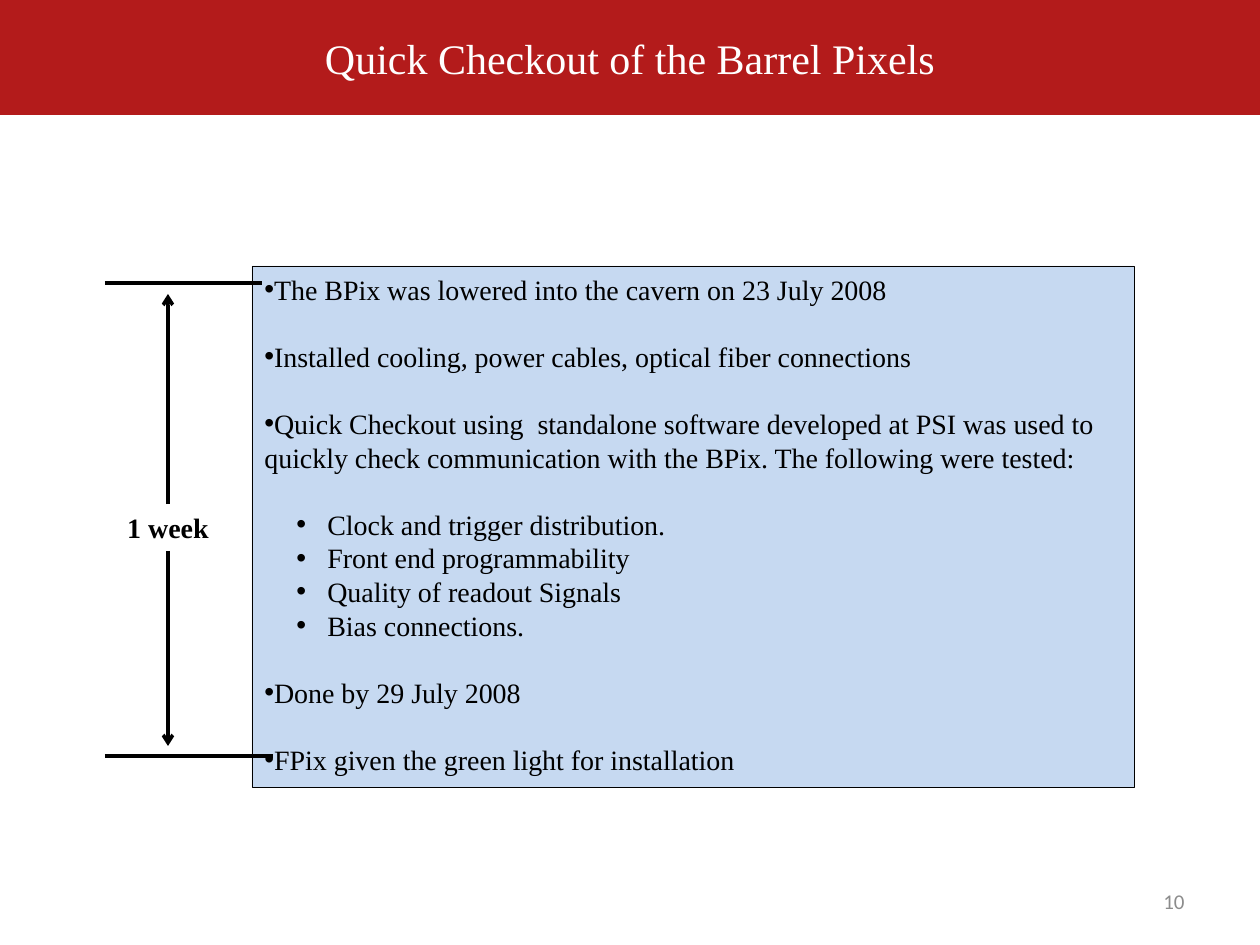
"""Build the slide on the quick checkout of the barrel pixels."""
import dataclasses
import typing

import lxml.etree
import pptx
import pptx.dml.color
import pptx.enum.shapes
import pptx.enum.text
import pptx.oxml.ns
import pptx.util

SCALE = 914400 / 126
HUES = {"red": "B31B1B", "sky": "C6D9F1", "ink": "000000",
        "white": "FFFFFF", "gray": "8C8C8C"}
SERIF = "Times New Roman"
LEAD = pptx.util.Pt(19.2)
ALIGN = pptx.enum.text.PP_ALIGN
ANCHOR = pptx.enum.text.MSO_ANCHOR


@dataclasses.dataclass
class Box:
    left: int
    top: int
    width: int
    height: int


@dataclasses.dataclass
class Style:
    size: int
    hue: str = "ink"
    face: str = SERIF
    bold: bool = False
    align: typing.Any = ALIGN.LEFT


@dataclasses.dataclass
class Item:
    text: str
    gap: bool = True
    sub: bool = False


@dataclasses.dataclass
class Rule:
    start: tuple[int, int]
    end: tuple[int, int]
    site: int | None = None


ITEMS = [
    Item("The BPix was lowered into the cavern on 23 July 2008", gap=False),
    Item("Installed cooling, power cables, optical fiber connections"),
    Item("Quick Checkout using  standalone software developed at PSI was used to "
         "quickly check communication with the BPix. The following were tested:"),
    Item("Clock and trigger distribution.", sub=True),
    Item("Front end programmability", gap=False, sub=True),
    Item("Quality of readout Signals", gap=False, sub=True),
    Item("Bias connections.", gap=False, sub=True),
    Item("Done by 29 July 2008"),
    Item("FPix given the green light for installation"),
]
RULES = [
    Rule((168, 551), (168, 746), site=2),
    Rule((168, 504), (168, 294), site=0),
    Rule((105, 283), (262, 283)),
    Rule((105, 756), (273, 756)),
]


def px(count: int) -> int:
    """Turn pixels into EMU."""
    return round(count * SCALE)


def tint(name: str) -> pptx.dml.color.RGBColor:
    """Look up a named colour."""
    return pptx.dml.color.RGBColor.from_string(HUES[name])


def place(box: Box) -> list[int]:
    """Give a box's place and size in EMU."""
    return [px(side) for side in dataclasses.astuple(box)]


def dress(para: typing.Any, style: Style) -> None:
    """Set a paragraph's font and alignment."""
    para.alignment = style.align
    font = para.font
    font.size = pptx.util.Pt(style.size)
    font.name = style.face
    font.bold = style.bold
    font.color.rgb = tint(style.hue)


def panel(slide: typing.Any, box: Box, fill: str, edge: str | None = None) -> typing.Any:
    """Draw a filled rectangle."""
    kind = pptx.enum.shapes.MSO_SHAPE.RECTANGLE
    shape = slide.shapes.add_shape(kind, *place(box))
    shape.shadow.inherit = False
    shape.fill.solid()
    shape.fill.fore_color.rgb = tint(fill)
    if edge:
        shape.line.color.rgb = tint(edge)
        shape.line.width = pptx.util.Pt(0.25)
    else:
        shape.line.fill.background()
    shape.text_frame.word_wrap = True
    return shape


def label(slide: typing.Any, box: Box, text: str, style: Style,
          anchor: typing.Any = ANCHOR.TOP) -> typing.Any:
    """Draw a text box with one line."""
    shape = slide.shapes.add_textbox(*place(box))
    frame = shape.text_frame
    frame.word_wrap = True
    frame.vertical_anchor = anchor
    frame.text = text
    dress(frame.paragraphs[0], style)
    return shape


def bullet(para: typing.Any, item: Item) -> None:
    """Write a bulleted item into a paragraph."""
    para.text = item.text
    para.line_spacing = LEAD
    if item.gap:
        para.space_before = LEAD
    props = para._p.get_or_add_pPr()
    props.set("marL", str(px(63 if item.sub else 0)))
    props.set("indent", str(px(-31 if item.sub else 0)))
    if item.sub:
        para.level = 1
    for tag, key, value in (("a:buFont", "typeface", "Arial"), ("a:buChar", "char", "•")):
        mark = lxml.etree.SubElement(props, pptx.oxml.ns.qn(tag))
        mark.set(key, value)
    dress(para, Style(16))


def stroke(slide: typing.Any, rule: Rule, hub: typing.Any) -> None:
    """Draw a thin line, as an arrow from the hub where it has a site."""
    kind = pptx.enum.shapes.MSO_CONNECTOR.STRAIGHT
    ends = [px(side) for side in (*rule.start, *rule.end)]
    line = slide.shapes.add_connector(kind, *ends)
    line.line.color.rgb = tint("ink")
    line.line.width = pptx.util.Pt(0)
    props = line._element.spPr
    lxml.etree.SubElement(props, pptx.oxml.ns.qn("a:effectLst"))
    if rule.site is not None:
        line.begin_connect(hub, rule.site)
        head = lxml.etree.SubElement(line.line._get_or_add_ln(), pptx.oxml.ns.qn("a:tailEnd"))
        head.set("type", "arrow")


def main() -> None:
    """Build and save the slide."""
    deck = pptx.Presentation()
    deck.slide_width, deck.slide_height = px(1260), px(945)
    slide = deck.slides.add_slide(deck.slide_layouts[6])

    label(slide, Box(903, 876, 294, 50), "10",
          Style(12, "gray", "Calibri", align=ALIGN.RIGHT), ANCHOR.MIDDLE)

    title = panel(slide, Box(0, 0, 1260, 115), "red").text_frame
    title.vertical_anchor = ANCHOR.MIDDLE
    title.text = "Quick Checkout of the Barrel Pixels"
    dress(title.paragraphs[0], Style(24, "white", align=ALIGN.CENTER))

    body = panel(slide, Box(252, 266, 882, 521), "sky", "ink").text_frame
    body.vertical_anchor = ANCHOR.TOP
    for index, item in enumerate(ITEMS):
        bullet(body.add_paragraph() if index else body.paragraphs[0], item)

    week = label(slide, Box(105, 504, 126, 47), "1 week",
                 Style(16, bold=True, align=ALIGN.CENTER))
    for rule in RULES:
        stroke(slide, rule, week)

    deck.save("out.pptx")


if __name__ == "__main__":
    main()
